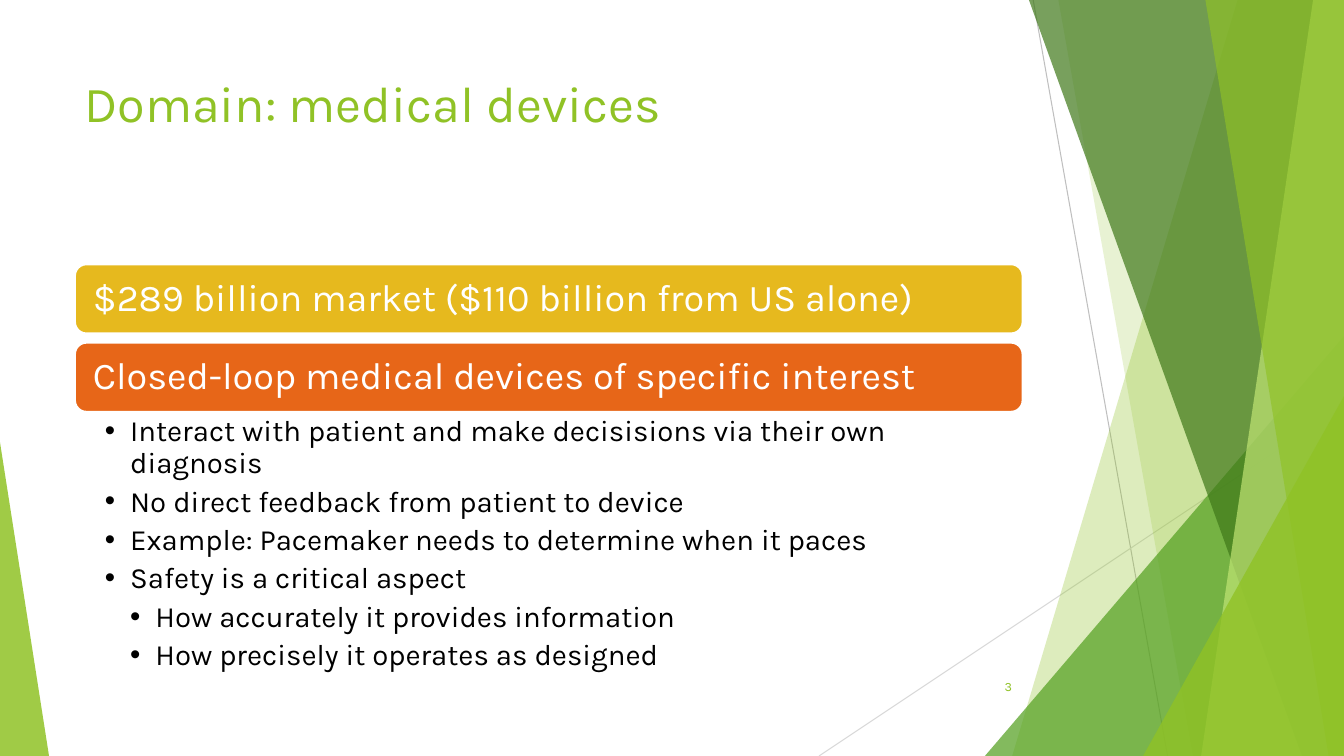
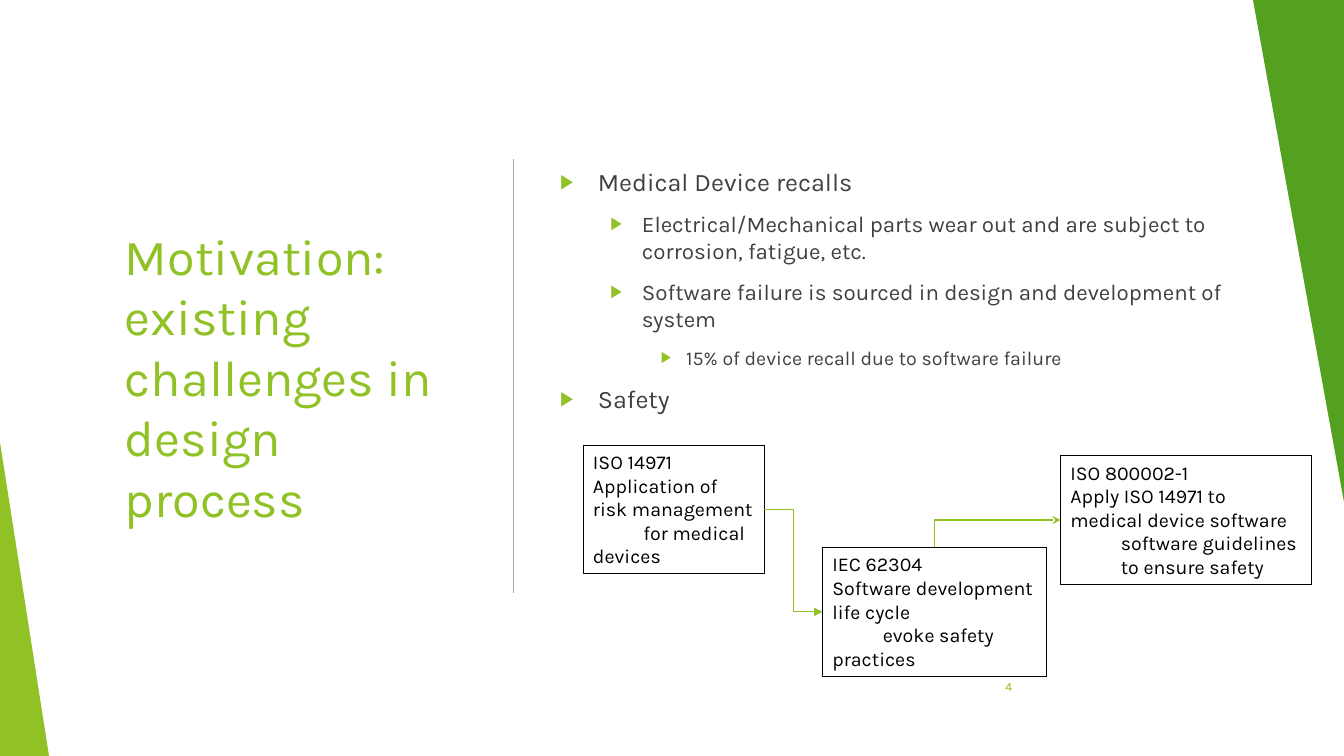
from lxml import etree
from pptx import Presentation
from pptx.dml.color import RGBColor
from pptx.enum.shapes import MSO_CONNECTOR, MSO_SHAPE
from pptx.enum.text import MSO_ANCHOR, MSO_AUTO_SIZE, PP_ALIGN
from pptx.oxml.ns import qn
from pptx.util import Pt

TRIANGLE, ROUNDED = MSO_SHAPE.RIGHT_TRIANGLE, MSO_SHAPE.ROUNDED_RECTANGLE
APEX_TRIANGLE = MSO_SHAPE.ISOSCELES_TRIANGLE
STRAIGHT, ELBOW = MSO_CONNECTOR.STRAIGHT, MSO_CONNECTOR.ELBOW
TOP, MIDDLE = MSO_ANCHOR.TOP, MSO_ANCHOR.MIDDLE
LEFT, RIGHT = PP_ALIGN.LEFT, PP_ALIGN.RIGHT
FIXED = MSO_AUTO_SIZE.NONE

FONT = "Karla"
LIME, GREEN, FOREST, PALE = "90C226", "54A021", "3F7819", "C0E474"
WHITE, BLACK, TEXT = "FFFFFF", "000000", "404040"
WIDTH, HEIGHT = 960, 540


def paint(fill, colour, opacity=None):
    fill.solid()
    fill.fore_color.rgb = RGBColor.from_string(colour)
    if opacity:
        clr = fill.fore_color._color._xClr
        etree.SubElement(clr, qn("a:alpha")).set("val", str(opacity * 1000))


def write(frame, lines, colour, anchor=TOP, align=LEFT, spacing=None,
          before=0, after=0, bullet=None, bullet_colour=BLACK, bullet_size=100):
    frame.word_wrap = True
    frame.auto_size = FIXED
    frame.vertical_anchor = anchor
    for index, (text, size, margin, indent) in enumerate(lines):
        paragraph = frame.add_paragraph() if index else frame.paragraphs[0]
        paragraph.text = text
        paragraph.alignment = align
        paragraph.line_spacing = spacing
        paragraph.space_before, paragraph.space_after = Pt(before), Pt(after)
        font = paragraph.runs[0].font
        font.name, font.size = FONT, Pt(size)
        paint(font.fill, colour)
        props = paragraph._p.get_or_add_pPr()
        props.set("marL", str(Pt(margin)))
        props.set("indent", str(Pt(indent)))
        if bullet:
            holder = etree.SubElement(props, qn("a:buClr"))
            etree.SubElement(holder, qn("a:srgbClr")).set("val", bullet_colour)
            etree.SubElement(props, qn("a:buSzPct")).set("val", str(bullet_size * 1000))
            etree.SubElement(props, qn("a:buFont")).set("typeface", "Arial")
            etree.SubElement(props, qn("a:buChar")).set("char", bullet)


prs = Presentation()
prs.slide_width, prs.slide_height = Pt(WIDTH), Pt(HEIGHT)

pages = [
    ("Domain: medical devices", (53, 48, 677, 104), TOP, "3", 85),
    ("Motivation: existing challenges in design process", (82, 93, 260, 351), MIDDLE, "4", 100),
]
slides = []
for heading, place, anchor, number, opacity in pages:
    slide = prs.slides.add_slide(prs.slide_layouts[5])
    slides.append(slide)
    title = slide.shapes.title
    title.left, title.top, title.width, title.height = map(Pt, place)
    write(title.text_frame, [(heading, 36, 0, 0)], LIME, anchor)
    page_number = slide.shapes.add_textbox(Pt(676), Pt(476), Pt(54), Pt(29))
    write(page_number.text_frame, [(number, 9, 0, 0)], LIME, MIDDLE, RIGHT)
    corner = slide.shapes.add_shape(TRIANGLE, 0, Pt(316), Pt(35), Pt(224))
    corner.shadow.inherit = False
    paint(corner.fill, LIME, opacity)
    corner.line.fill.background()
domain, motivation = (slide.shapes for slide in slides)

connectors = []
for x1, y1, x2, y2, colour in [(738, 0, 834, HEIGHT, "BFBFBF"),
                               (WIDTH, 290, 585, HEIGHT, "D9D9D9")]:
    ray = domain.add_connector(STRAIGHT, Pt(x1), Pt(y1), Pt(x2), Pt(y2))
    connectors.append((ray, colour, 0.75))

facets = [
    (884, 723, 0, LIME, 30),
    (756, 852, 0, LIME, 20),
    (WIDTH, 703.5, 240, GREEN, 72),
    (735, 930, 0, FOREST, 70),
    (938, 858, 0, PALE, 70),
    (861, 949, 0, LIME, 65),
    (WIDTH, 816.5, 283, LIME, 80),
]
for top_x, bottom_x, top, colour, opacity in facets:
    if top_x == WIDTH:
        facet = domain.add_shape(APEX_TRIANGLE, Pt(bottom_x), Pt(top),
                                 Pt(WIDTH - bottom_x), Pt(HEIGHT - top))
        facet.adjustments[0] = 1
    else:
        outline = domain.build_freeform(Pt(top_x), Pt(top))
        outline.add_line_segments([(Pt(WIDTH), Pt(top)), (Pt(WIDTH), Pt(HEIGHT)),
                                   (Pt(bottom_x), Pt(HEIGHT))], close=True)
        facet = outline.convert_to_shape()
    facet.shadow.inherit = False
    paint(facet.fill, colour, opacity)
    facet.line.fill.background()

bands = [
    ("$289 billion market ($110 billion from US alone)", "E6B91E"),
    ("Closed-loop medical devices of specific interest", "E76618"),
]
for row, (statement, colour) in enumerate(bands):
    band = domain.add_shape(ROUNDED, Pt(53.5), Pt(188.75 + 56 * row), Pt(677), Pt(49.5))
    band.shadow.inherit = False
    paint(band.fill, colour)
    paint(band.line.fill, WHITE)
    band.line.width = Pt(1.5)
    band.text_frame.margin_left = band.text_frame.margin_right = Pt(10.5)
    write(band.text_frame, [(statement, 27, 0, 0)], WHITE, MIDDLE, spacing=0.9)

interests = domain.add_textbox(Pt(53.5), Pt(294.5), Pt(677), Pt(163)).text_frame
interests.margin_left, interests.margin_right = Pt(21.5), Pt(15)
interests.margin_top = interests.margin_bottom = Pt(3)
write(interests, [
    ("Interact with patient and make decisisions via their own diagnosis", 21, 18, -18),
    ("No direct feedback from patient to device", 21, 18, -18),
    ("Example: Pacemaker needs to determine when it paces", 21, 18, -18),
    ("Safety is a critical aspect", 21, 18, -18),
    ("How accurately it provides information", 21, 36, -18),
    ("How precisely it operates as designed", 21, 36, -18),
], BLACK, spacing=0.9, after=4.8, bullet="•")

wedge = motivation.add_shape(TRIANGLE, Pt(895), 0, Pt(66), Pt(364))
wedge.rotation = 180
wedge.shadow.inherit = False
paint(wedge.fill, GREEN)
wedge.line.fill.background()

divider = motivation.add_connector(STRAIGHT, Pt(366.5), Pt(113.5), Pt(366.5), Pt(423.5))
connectors.append((divider, "A6A6A6", 0.75))

recalls = motivation.add_textbox(Pt(393), Pt(80.5), Pt(499), Pt(253)).text_frame
write(recalls, [
    ("Medical Device recalls", 18, 27, -27),
    ("Electrical/Mechanical parts wear out and are subject to corrosion, fatigue, etc.",
     16, 58.5, -22.5),
    ("Software failure is sourced in design and development of system", 16, 58.5, -22.5),
    ("15% of device recall due to software failure", 14, 90, -18),
    ("Safety", 18, 27, -27),
], TEXT, MIDDLE, before=10, bullet="▶", bullet_colour=LIME, bullet_size=80)

standards = [
    (416.5, 318, 129.5, "ISO 14971", "Application of risk management",
     "for medical devices", 0, 36),
    (587.5, 391, 160, "IEC 62304", "Software development life cycle",
     "evoke safety practices", 0, 36),
    (757.5, 325.5, 179.5, "ISO 800002-1", "Apply ISO 14971 to medical device software",
     "software guidelines to ensure safety", 36, 0),
]
boxes = []
for left, top, width, code, scope, purpose, margin, indent in standards:
    box = motivation.add_textbox(Pt(left), Pt(top), Pt(width), Pt(92))
    paint(box.line.fill, BLACK)
    box.line.width = Pt(0.75)
    write(box.text_frame, [(code, 14, 0, 0), (scope, 14, 0, 0),
                           (purpose, 14, margin, indent)], BLACK)
    boxes.append(box)
risk, life_cycle, guidance = boxes

risk_to_cycle = motivation.add_connector(ELBOW, 0, 0, 0, 0)
risk_to_cycle.begin_connect(risk, 3)
risk_to_cycle.end_connect(life_cycle, 1)
guidance_from_cycle = motivation.add_connector(ELBOW, 0, 0, 0, 0)
guidance_from_cycle.begin_connect(guidance, 1)
guidance_from_cycle.end_connect(life_cycle, 0)
guidance_from_cycle._element.spPr.find(qn("a:prstGeom")).set("prst", "bentConnector2")
connectors += [(risk_to_cycle, LIME, 1), (guidance_from_cycle, LIME, 1)]

for connector, colour, weight in connectors:
    paint(connector.line.fill, colour)
    connector.line.width = Pt(weight)
    etree.SubElement(connector._element.spPr, qn("a:effectLst"))

for connector, end, style in [(risk_to_cycle, "a:tailEnd", "triangle"),
                              (guidance_from_cycle, "a:headEnd", "stealth")]:
    stroke = connector._element.spPr.find(qn("a:ln"))
    etree.SubElement(stroke, qn(end)).set("type", style)

prs.save("out.pptx")
